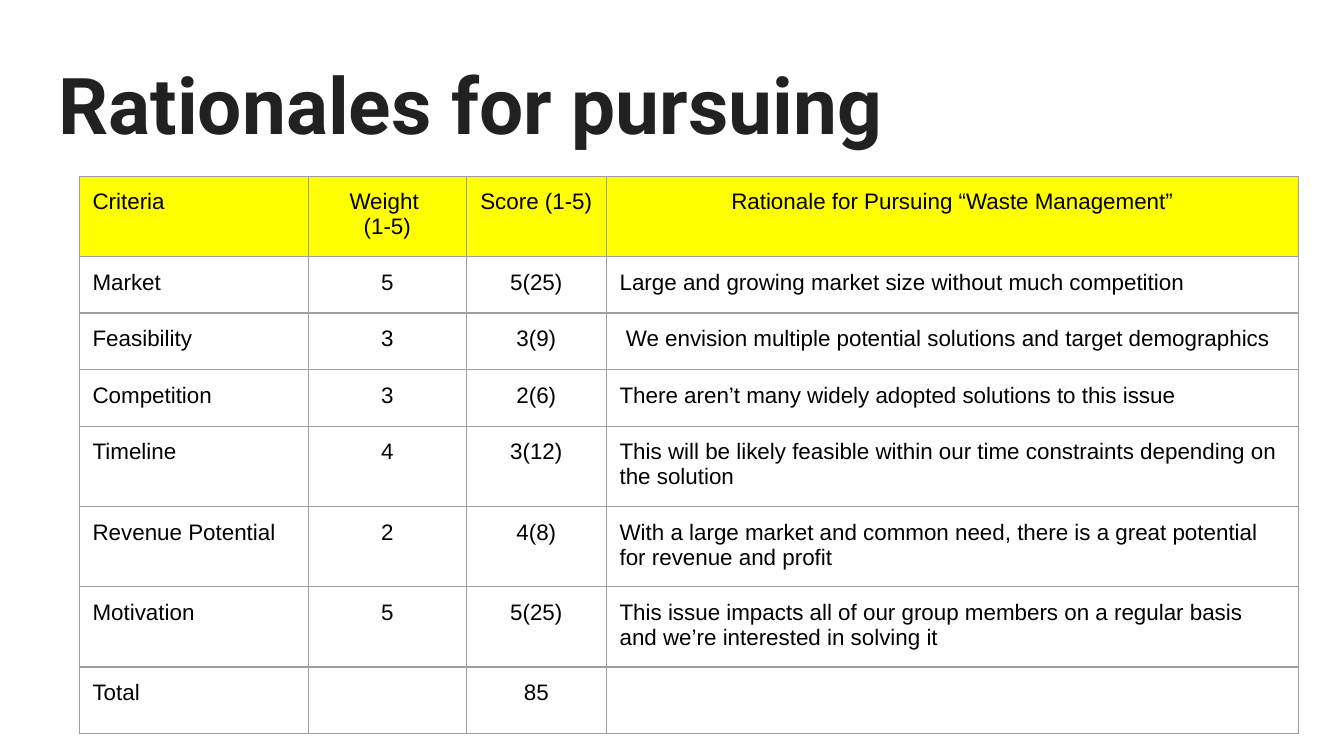
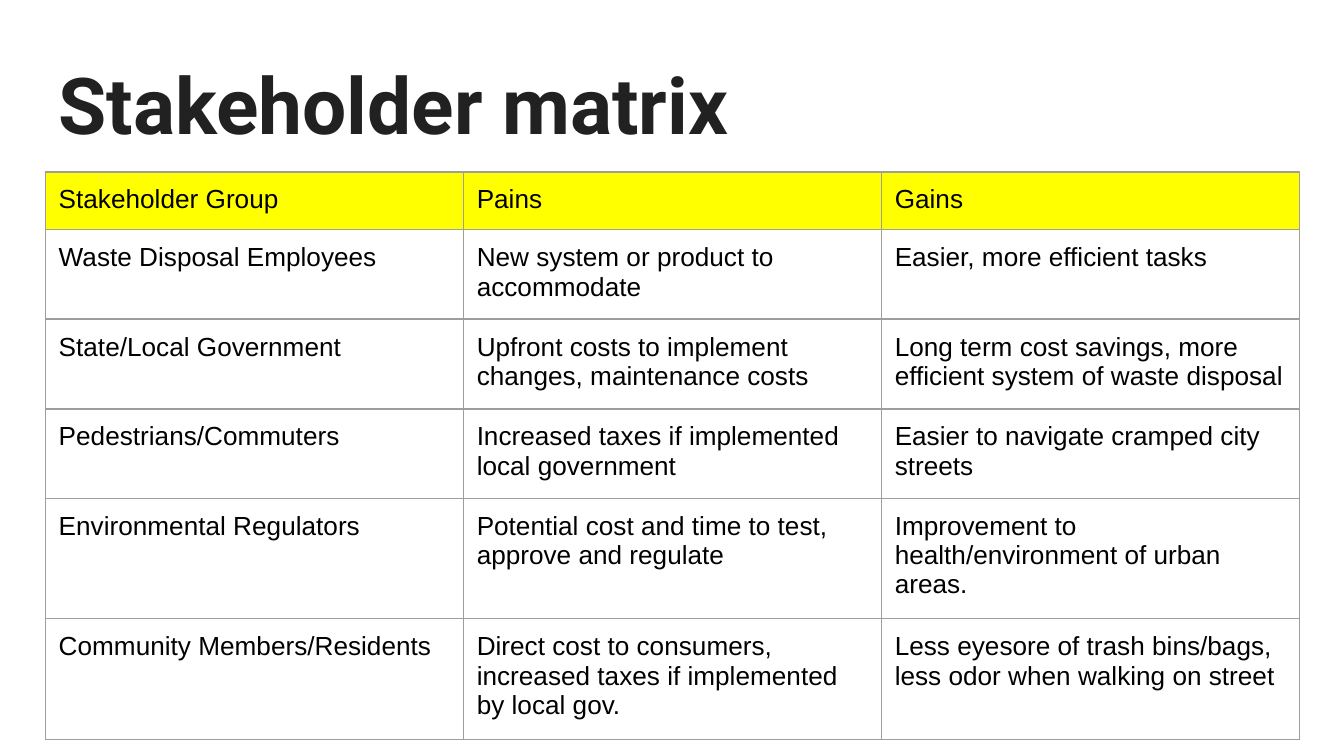
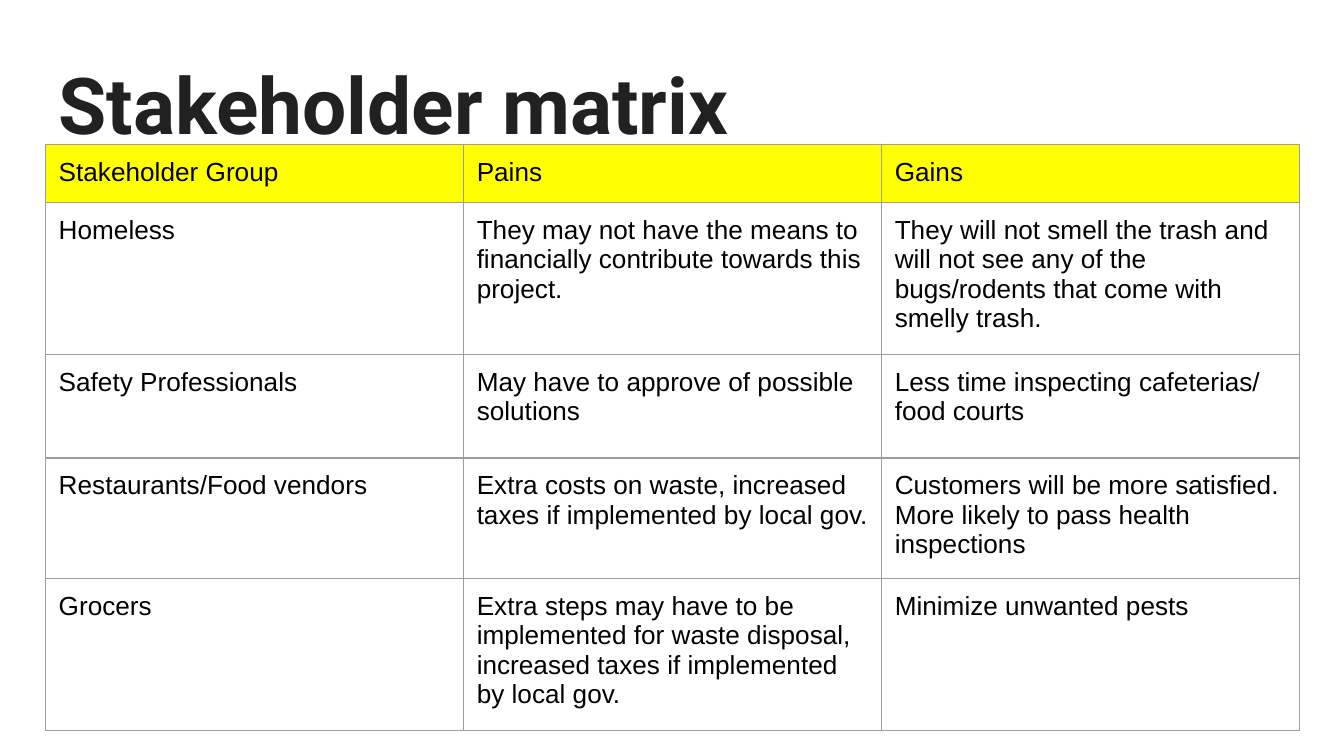
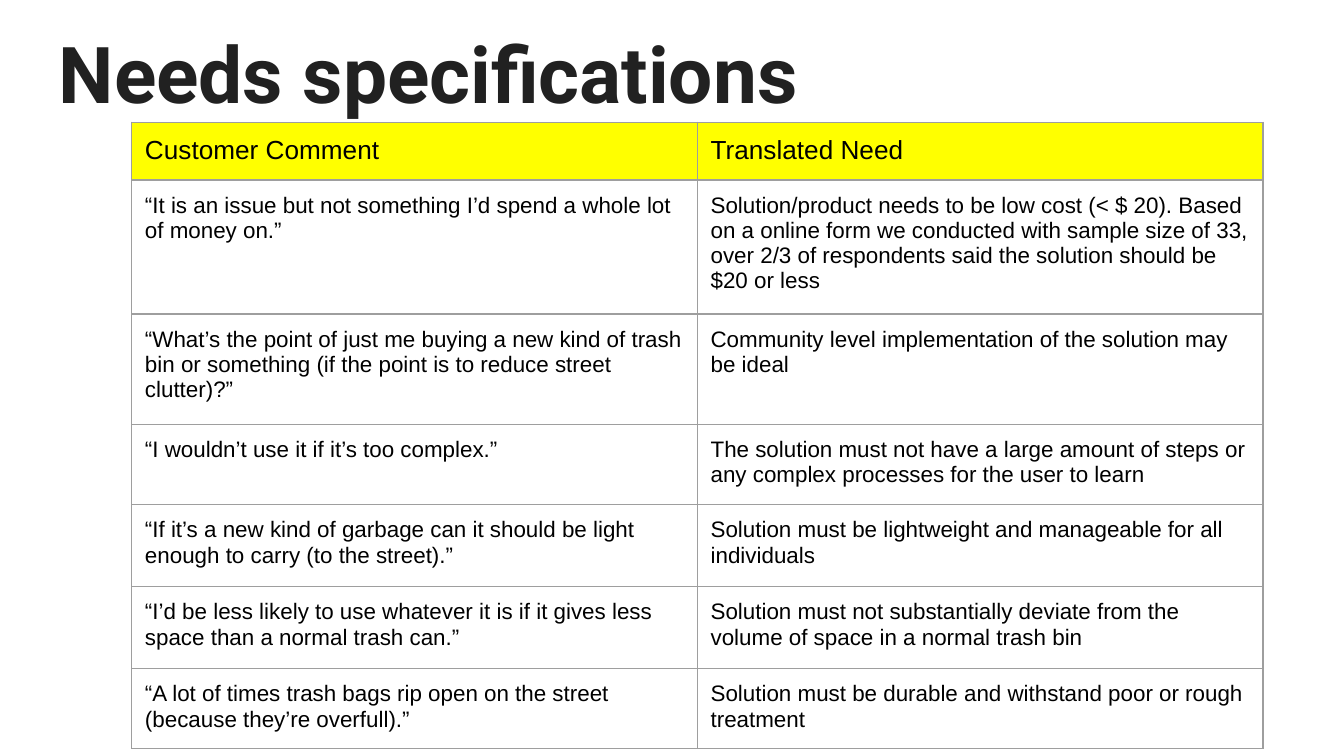
from lxml import etree
from pptx import Presentation
from pptx import util as u
from pptx.dml.color import RGBColor
from pptx.enum import text
from pptx.oxml.ns import qn

# Content: one entry per slide, lengths in centimetres, sizes in points
STAKEHOLDER_HEAD = ("Stakeholder Group", "Pains", "Gains")
SLIDES = [
    dict(
        title="Rationales for pursuing", title_top=0.81, left=1.5, top=3.33,
        cols=[4.33, 2.98, 2.65, 13.08], rows=[1.07] * 8,
        head_size=12, body_size=12, centred=(1, 2), centred_head=(1, 2, 3),
        cells=[
            ("Criteria", "Weight \n(1-5)", "Score (1-5)",
             "Rationale for Pursuing “Waste Management”"),
            ("Market", "5", "5(25)",
             "Large and growing market size without much competition"),
            ("Feasibility", "3", "3(9)",
             " We envision multiple potential solutions and target demographics"),
            ("Competition", "3", "2(6)",
             "There aren’t many widely adopted solutions to this issue"),
            ("Timeline", "4", "3(12)",
             "This will be likely feasible within our time constraints "
             "depending on the solution"),
            ("Revenue Potential", "2", "4(8)",
             "With a large market and common need, there is a great potential "
             "for revenue and profit"),
            ("Motivation", "5", "5(25)",
             "This issue impacts all of our group members on a regular basis "
             "and we’re interested in solving it"),
            ("Total", "", "85", ""),
        ]),
    dict(
        title="Stakeholder matrix", title_top=0.81, left=0.86, top=3.25,
        cols=[7.9] * 3, rows=[0.94, 1.45, 1.7, 1.47, 1.96, 1.96],
        head_size=14, body_size=14, centred=(), centred_head=(),
        cells=[
            STAKEHOLDER_HEAD,
            ("Waste Disposal Employees",
             "New system or product to accommodate",
             "Easier, more efficient tasks"),
            ("State/Local Government",
             "Upfront costs to implement changes, maintenance costs",
             "Long term cost savings, more efficient system of waste disposal"),
            ("Pedestrians/Commuters",
             "Increased taxes if implemented local government",
             "Easier to navigate cramped city streets"),
            ("Environmental Regulators",
             "Potential cost and time to test, approve and regulate",
             "Improvement to health/environment of urban areas."),
            ("Community Members/Residents",
             "Direct cost to consumers, increased taxes if implemented by local gov.",
             "Less eyesore of trash bins/bags, less odor when walking on street"),
        ]),
    dict(
        title="Stakeholder matrix", title_top=0.81, left=0.86, top=2.73,
        cols=[7.9] * 3, rows=[0.94] + [1.96] * 4,
        head_size=14, body_size=14, centred=(), centred_head=(),
        cells=[
            STAKEHOLDER_HEAD,
            ("Homeless",
             "They may not have the means to financially contribute towards "
             "this project.",
             "They will not smell the trash and will not see any of the "
             "bugs/rodents that come with smelly trash."),
            ("Safety Professionals",
             "May have to approve of possible solutions",
             "Less time inspecting cafeterias/ food courts"),
            ("Restaurants/Food vendors",
             "Extra costs on waste, increased taxes if implemented by local gov.",
             "Customers will be more satisfied. More likely to pass health "
             "inspections"),
            ("Grocers",
             "Extra steps may have to be implemented for waste disposal, "
             "increased taxes if implemented by local gov.",
             "Minimize unwanted pests"),
        ]),
    dict(
        title="Needs specifications", title_top=0.23, left=2.49, top=2.31,
        cols=[10.69] * 2, rows=[1.09, 2.51, 2.08, 1.5, 1.55, 1.55, 1.5],
        head_size=14, body_size=12, centred=(), centred_head=(),
        cells=[
            ("Customer Comment", "Translated Need"),
            ("“It is an issue but not something I’d spend a whole lot of money on.”",
             "Solution/product needs to be low cost (< $ 20). Based on a online "
             "form we conducted with sample size of 33, over 2/3 of respondents "
             "said the solution should be $20 or less"),
            ("“What’s the point of just me buying a new kind of trash bin or "
             "something (if the point is to reduce street clutter)?”",
             "Community level implementation of the solution may be ideal"),
            ("“I wouldn’t use it if it’s too complex.”",
             "The solution must not have a large amount of steps or any complex "
             "processes for the user to learn"),
            ("“If it’s a new kind of garbage can it should be light enough to "
             "carry (to the street).”",
             "Solution must be lightweight and manageable for all individuals"),
            ("“I’d be less likely to use whatever it is if it gives less space "
             "than a normal trash can.”",
             "Solution must not substantially deviate from the volume of space "
             "in a normal trash bin"),
            ("“A lot of times trash bags rip open on the street (because "
             "they’re overfull).”",
             "Solution must be durable and withstand poor or rough treatment"),
        ]),
]

# Shared look
TITLE_COLOR, TEXT_COLOR, HEAD_FILL, GRID = "212121", "000000", "FFFF00", "9E9E9E"
INSET = u.Cm(0.25)
MARGINS = {f"margin_{side}": INSET for side in ("left", "top", "right", "bottom")}
TITLE_FRAME = {**MARGINS, "word_wrap": True, "vertical_anchor": text.MSO_ANCHOR.TOP}
TITLE_FONT = {"name": "Roboto", "size": u.Pt(42), "bold": True}
PLAIN_TABLE = {"first_row": False, "horz_banding": False}


def apply(target, values):
    for attribute, value in values.items():
        setattr(target, attribute, value)


def color(hex_value):
    return RGBColor.from_string(hex_value)


def write(frame, words, font, hex_color, align=text.PP_ALIGN.LEFT):
    for number, line in enumerate(words.split("\n")):
        paragraph = frame.add_paragraph() if number else frame.paragraphs[0]
        paragraph.alignment = align
        run = paragraph.add_run()
        run.text = line
        apply(run.font, font)
        run.font.color.rgb = color(hex_color)


def add_borders(cell):
    properties = cell._tc.get_or_add_tcPr()
    for side in ("lnL", "lnR", "lnT", "lnB"):
        line = etree.SubElement(properties, qn(f"a:{side}"), w=str(u.Pt(0.75)))
        fill = etree.SubElement(line, qn("a:solidFill"))
        etree.SubElement(fill, qn("a:srgbClr"), val=GRID)


def add_title(slide, content):
    box = slide.shapes.add_textbox(
        u.Cm(0.86), u.Cm(content["title_top"]), u.Cm(23.67), u.Cm(2.24))
    apply(box.text_frame, TITLE_FRAME)
    write(box.text_frame, content["title"], TITLE_FONT, TITLE_COLOR)


def add_matrix(slide, content):
    cols, rows = content["cols"], content["rows"]
    matrix = slide.shapes.add_table(
        len(rows), len(cols), u.Cm(content["left"]), u.Cm(content["top"]),
        u.Cm(sum(cols)), u.Cm(sum(rows))).table
    apply(matrix, PLAIN_TABLE)
    for column, width in zip(matrix.columns, cols):
        column.width = u.Cm(width)
    for row, height in zip(matrix.rows, rows):
        row.height = u.Cm(height)

    for r, entries in enumerate(content["cells"]):
        part = "head_size" if r == 0 else "body_size"
        centred = content["centred_head" if r == 0 else "centred"]
        font = {"name": "Arial", "size": u.Pt(content[part]), "bold": False}
        for c, words in enumerate(entries):
            cell = matrix.cell(r, c)
            apply(cell, MARGINS)
            add_borders(cell)
            if r == 0:
                cell.fill.solid()
                cell.fill.fore_color.rgb = color(HEAD_FILL)
            else:
                cell.fill.background()
            if words:
                align = text.PP_ALIGN.CENTER if c in centred else text.PP_ALIGN.LEFT
                write(cell.text_frame, words, font, TEXT_COLOR, align)


def main():
    deck = Presentation()
    apply(deck, {"slide_width": u.Cm(25.4), "slide_height": u.Cm(14.29)})
    for content in SLIDES:
        slide = deck.slides.add_slide(deck.slide_layouts[6])
        add_title(slide, content)
        add_matrix(slide, content)
    deck.save("out.pptx")


if __name__ == "__main__":
    main()
